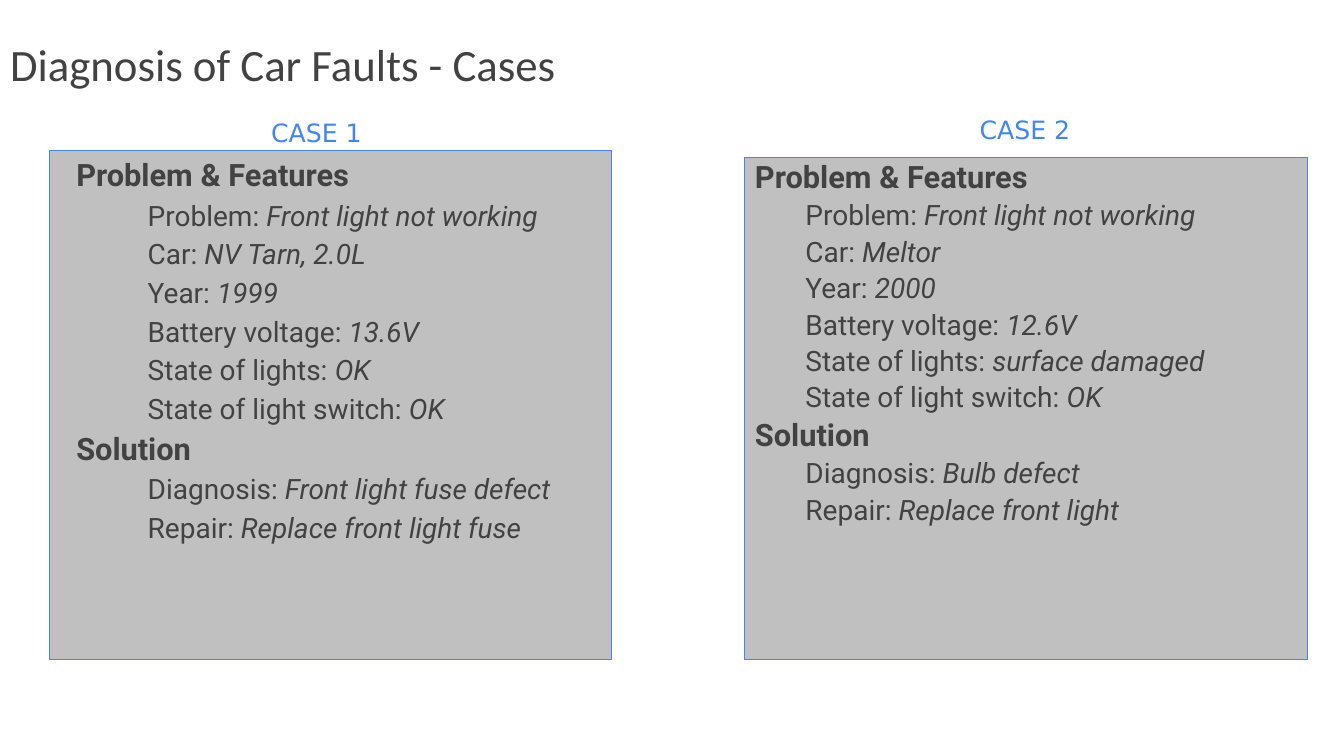
from lxml import etree
from pptx import Presentation
from pptx import util as u
from pptx.dml.color import RGBColor
from pptx.enum import text
from pptx.oxml import ns

Pt = u.Pt

TEXT_GREY = RGBColor(0x42, 0x42, 0x42)
PANEL_GREY = RGBColor(0xC0, 0xC0, 0xC0)
ACCENT_BLUE = RGBColor(0x42, 0x85, 0xF4)

TITLE_FONT = {"name": "Calibri", "size": Pt(32)}
LABEL_FONT = {"name": "DejaVu Sans", "size": Pt(18)}
HEADING_FONT = {"name": "Roboto", "size": Pt(22), "bold": True}
FIELD_FONT = {"name": "Roboto", "size": Pt(20), "bold": False, "italic": False}
VALUE_FONT = {**FIELD_FONT, "italic": True}

FIELDS = [
    ("Problem & Features", ["Problem", "Car", "Year", "Battery voltage",
                            "State of lights", "State of light switch"]),
    ("Solution", ["Diagnosis", "Repair"]),
]

# Indents are (left margin, first line) for headings and for fields
CASES = [
    {
        "label": "CASE 1",
        "label_box": (186.5, 80.6, 80.6, 28.8),
        "panel_box": (35.3, 107.3, 401.8, 363.6),
        "insets": (7.2, 7.2),
        "indents": [(48, -36), (96, -33)],
        "space_before": 6,
        "values": ["Front light not working", "NV Tarn, 2.0L", "1999", "13.6V",
                   "OK", "OK", "Front light fuse defect",
                   "Replace front light fuse"],
    },
    {
        "label": "CASE 2",
        "label_box": (692.6, 77.8, 80.6, 28.8),
        "panel_box": (532.1, 112.3, 401.8, 358.6),
        "insets": (7.2, 3.6),
        "indents": [(27, -27), (58.5, -22.5)],
        "space_before": 4.4,
        "values": ["Front light not working", "Meltor", "2000", "12.6V",
                   "surface damaged", "OK", "Bulb defect",
                   "Replace front light"],
    },
]


def place(shape, box):
    for name, value in zip(("left", "top", "width", "height"), box):
        setattr(shape, name, Pt(value))


def format_frame(frame, insets, **settings):
    side, end = insets
    margins = {"margin_left": side, "margin_right": side,
               "margin_top": end, "margin_bottom": end}
    for name, value in margins.items():
        setattr(frame, name, Pt(value))
    for name, value in settings.items():
        setattr(frame, name, value)


def add_run(paragraph, wording, font, color=TEXT_GREY):
    run = paragraph.add_run()
    run.text = wording
    for name, value in font.items():
        setattr(run.font, name, value)
    run.font.color.rgb = color


def format_list_paragraph(paragraph, level, case):
    settings = {"level": level, "line_spacing": 0.9,
                "space_before": Pt(case["space_before"]),
                "space_after": Pt(0), "alignment": text.PP_ALIGN.LEFT}
    for name, value in settings.items():
        setattr(paragraph, name, value)
    # Indent without a bullet
    properties = paragraph._p.get_or_add_pPr()
    for name, value in zip(("marL", "indent"), case["indents"][level]):
        properties.set(name, str(int(Pt(value))))
    etree.SubElement(properties, ns.qn("a:buNone"))


def fill_title(shape, wording):
    place(shape, (0, 5, 960, 80.6))
    format_frame(shape.text_frame, (7.2, 7.2), word_wrap=True,
                 auto_size=text.MSO_AUTO_SIZE.NONE,
                 vertical_anchor=text.MSO_ANCHOR.MIDDLE)
    paragraph = shape.text_frame.paragraphs[0]
    paragraph.alignment = text.PP_ALIGN.LEFT
    add_run(paragraph, wording, TITLE_FONT)


def fill_panel(shape, case):
    place(shape, case["panel_box"])
    shape.fill.solid()
    shape.fill.fore_color.rgb = PANEL_GREY
    shape.line.color.rgb = ACCENT_BLUE
    shape.line.width = Pt(0.75)
    frame = shape.text_frame
    format_frame(frame, case["insets"], word_wrap=True,
                 auto_size=text.MSO_AUTO_SIZE.NONE,
                 vertical_anchor=text.MSO_ANCHOR.TOP)

    values = iter(case["values"])
    paragraph = frame.paragraphs[0]
    for number, (heading, fields) in enumerate(FIELDS):
        if number:
            paragraph = frame.add_paragraph()
        format_list_paragraph(paragraph, 0, case)
        add_run(paragraph, heading, HEADING_FONT)
        for field in fields:
            paragraph = frame.add_paragraph()
            format_list_paragraph(paragraph, 1, case)
            add_run(paragraph, f"{field}: ", FIELD_FONT)
            add_run(paragraph, next(values), VALUE_FONT)


def add_label(slide, case):
    shape = slide.shapes.add_textbox(*map(Pt, case["label_box"]))
    format_frame(shape.text_frame, (7.2, 3.6), word_wrap=False,
                 auto_size=text.MSO_AUTO_SIZE.SHAPE_TO_FIT_TEXT)
    add_run(shape.text_frame.paragraphs[0], case["label"], LABEL_FONT, ACCENT_BLUE)


def main():
    presentation = Presentation()
    presentation.slide_width = Pt(960)
    presentation.slide_height = Pt(540)

    # Layout with a title and two lists
    two_content = presentation.slide_layouts.get_by_name("Two Content")
    slide = presentation.slides.add_slide(two_content)
    title, *panels = slide.placeholders
    fill_title(title, "Diagnosis of Car Faults - Cases")

    # One panel and one label for each case
    for panel, case in zip(panels, CASES):
        fill_panel(panel, case)
        add_label(slide, case)

    presentation.save("out.pptx")


if __name__ == "__main__":
    main()
